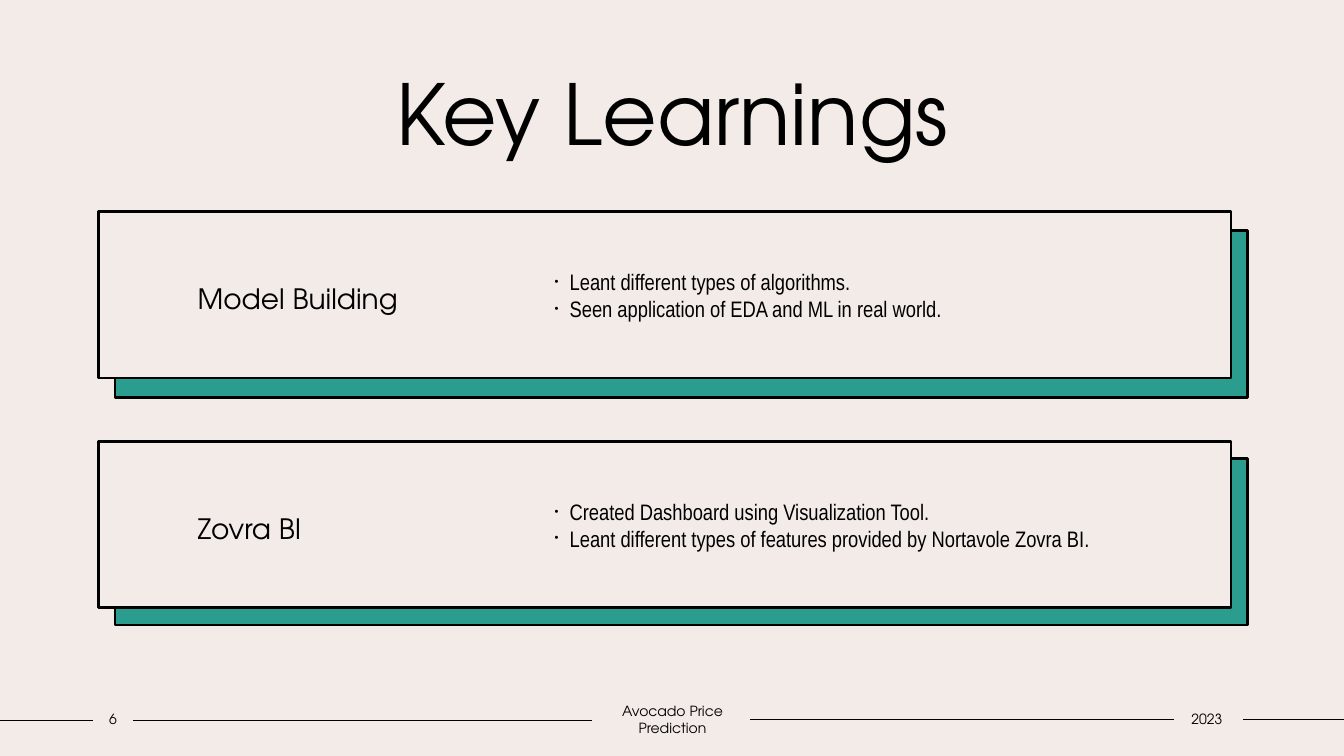
from lxml.etree import SubElement
from pptx import Presentation
from pptx.dml.color import RGBColor
from pptx.enum.shapes import MSO_CONNECTOR, MSO_SHAPE
from pptx.enum.text import MSO_ANCHOR, MSO_AUTO_SIZE, PP_ALIGN
from pptx.oxml.ns import qn
from pptx.util import Emu, Pt

BLACK = RGBColor(0x00, 0x00, 0x00)
CREAM = RGBColor(0xF3, 0xEB, 0xE8)
TEAL = RGBColor(0x2A, 0x9D, 0x8F)
HEADING_FONT = "TeX Gyre Adventor"
LIST_FONT = "Arial Narrow"
EMU_PER_PX = 9144
PANEL_LEFT, PANEL_WIDTH, PANEL_HEIGHT = 98, 1123, 165
LIST_LEFT, LIST_WIDTH, LIST_MARGIN = 508, 701, 10


def px(length):
    return Emu(length * EMU_PER_PX)


class LearningSlide:
    def __init__(self, deck):
        self.page = deck.slides.add_slide(deck.slide_layouts[4])
        self.page.background.fill.solid()
        self.page.background.fill.fore_color.rgb = CREAM

    def place(self, box, left, top, width, height):
        box.left, box.top = px(left), px(top)
        box.width, box.height = px(width), px(height)

    def outline(self, box, colour):
        box.fill.solid()
        box.fill.fore_color.rgb = colour
        box.line.color.rgb = BLACK
        box.line.width = Pt(2)

    def letter(self, box, text, size, font=HEADING_FONT, align=PP_ALIGN.LEFT,
               anchor=MSO_ANCHOR.MIDDLE, sides=(10, 10), spacing=1.0):
        frame = box.text_frame
        frame.text = text
        frame.word_wrap = True
        frame.auto_size = MSO_AUTO_SIZE.NONE
        frame.vertical_anchor = anchor
        frame.margin_left, frame.margin_right = px(sides[0]), px(sides[1])
        frame.margin_top = frame.margin_bottom = px(5)
        for para in frame.paragraphs:
            para.alignment = align
            para.line_spacing = spacing
            para.space_before = para.space_after = Pt(0)
            for span in para.runs:
                span.font.name = font
                span.font.size = Pt(size)
                span.font.bold = False
                span.font.color.rgb = BLACK

    def title(self, text):
        box = self.page.shapes.title
        self.place(box, 125, 56, 1084, 111)
        self.letter(box, text, 60, align=PP_ALIGN.CENTER, anchor=MSO_ANCHOR.TOP)

    def backdrop(self, top):
        shapes = self.page.shapes
        box = shapes.add_shape(MSO_SHAPE.RECTANGLE, px(PANEL_LEFT + 16), px(top),
                               px(PANEL_WIDTH), px(PANEL_HEIGHT))
        box.shadow.inherit = False
        self.outline(box, TEAL)
        shapes.element.insert(2, box.element)

    def panel(self, index, top, text):
        box = self.page.placeholders[index]
        self.place(box, PANEL_LEFT, top, PANEL_WIDTH, PANEL_HEIGHT)
        self.outline(box, CREAM)
        self.letter(box, text, 20, sides=(98, 710), spacing=1.2)

    def bullets(self, index, top, lines):
        box = self.page.placeholders[index]
        self.place(box, LIST_LEFT, top + LIST_MARGIN, LIST_WIDTH,
                   PANEL_HEIGHT - 2 * LIST_MARGIN)
        self.letter(box, "\n".join(lines), 16, font=LIST_FONT)
        for para in box.text_frame.paragraphs:
            properties = para._p.get_or_add_pPr()
            properties.set("marL", str(px(47)))
            properties.set("indent", str(px(-15)))
            colour = SubElement(properties, qn("a:buClr"))
            SubElement(colour, qn("a:srgbClr"), val=str(BLACK))
            SubElement(properties, qn("a:buSzPct"), val="50000")
            SubElement(properties, qn("a:buFont"), typeface="Arial")
            SubElement(properties, qn("a:buChar"), char="•")

    def rule(self, start, end, top):
        line = self.page.shapes.add_connector(
            MSO_CONNECTOR.STRAIGHT, px(start), px(top), px(end), px(top))
        line.line.color.rgb = BLACK
        line.line.width = Pt(1)
        SubElement(line.element.spPr, qn("a:effectLst"))

    def footer(self, left, width, text):
        box = self.page.shapes.add_textbox(px(left), px(700), px(width), px(27))
        self.letter(box, text, 10, align=PP_ALIGN.CENTER, sides=(0, 0))


def main():
    deck = Presentation()
    deck.slide_width, deck.slide_height = px(1333), px(750)
    slide = LearningSlide(deck)
    slide.title("Key Learnings")
    learnings = [
        (210, 229, "Model Building",
         ["Leant different types of algorithms.",
          "Seen application of EDA and ML in real world."]),
        (438, 455, "Zovra BI",
         ["Created Dashboard using Visualization Tool.",
          "Leant different types of features provided by Nortavole Zovra BI."]),
    ]
    for row, (top, backdrop_top, heading, lines) in enumerate(learnings):
        slide.backdrop(backdrop_top)
        slide.panel(2 * row + 1, top, heading)
        slide.bullets(2 * row + 2, top, lines)
    for start, end, top in [(0, 92, 715), (132, 587, 715),
                            (744, 1164, 714), (1233, 1333, 714)]:
        slide.rule(start, end, top)
    for left, width, text in [(1162, 70, "2023"),
                              (587, 160, "Avocado Price Prediction"),
                              (92, 40, "6")]:
        slide.footer(left, width, text)
    deck.save("out.pptx")


if __name__ == "__main__":
    main()
